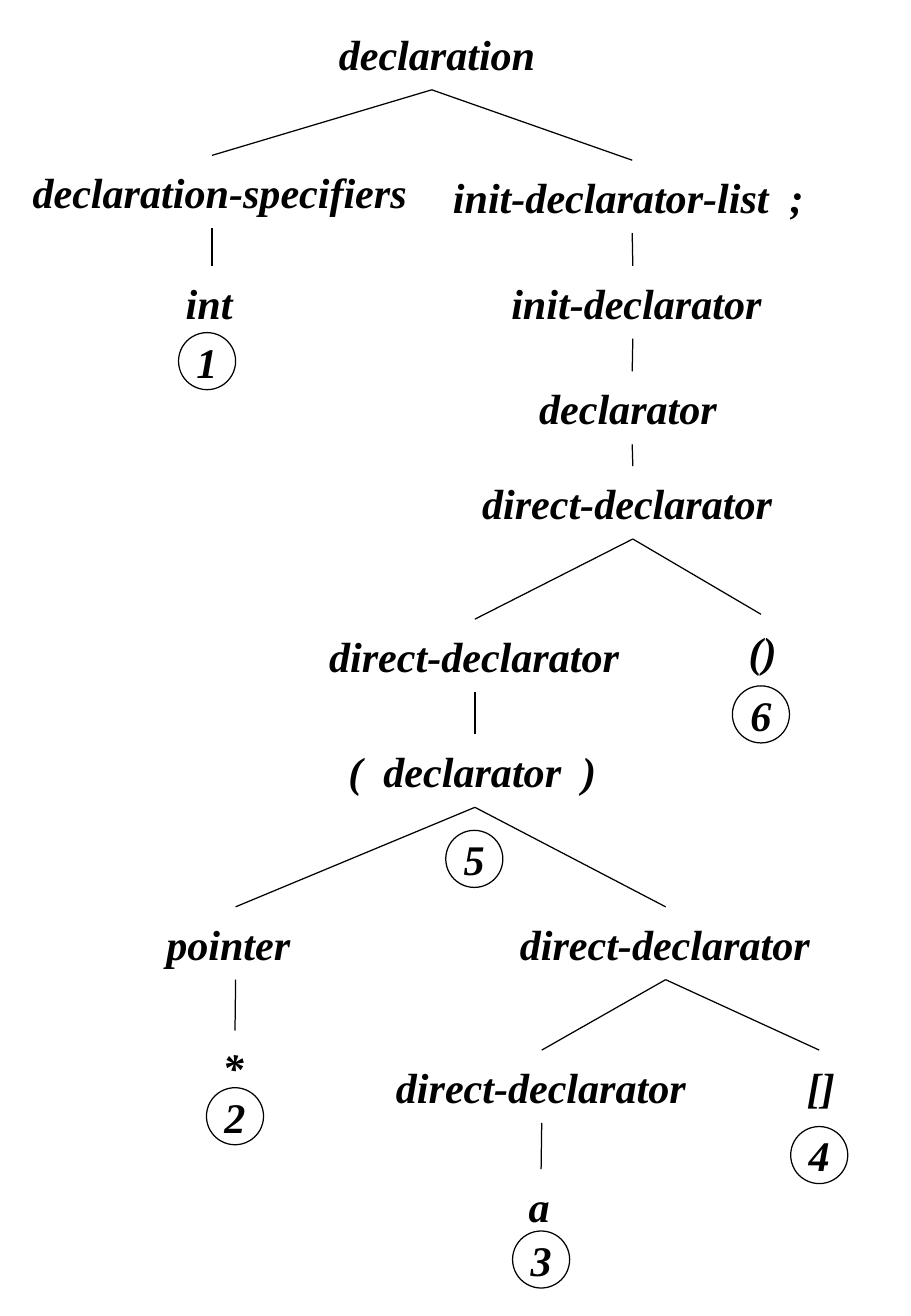
from pptx import Presentation
from pptx.dml.color import RGBColor
from pptx.enum.shapes import MSO_CONNECTOR as Connector, MSO_SHAPE as Shape
from pptx.enum.text import MSO_ANCHOR as Anchor, PP_ALIGN as Align
from pptx.oxml.ns import qn
from pptx.util import Pt
from lxml.etree import SubElement

PX = 9144
SLIDE_WIDTH, SLIDE_HEIGHT = 750, 1084
TREE_BOX = (13, 14)
NODE_HEIGHT, BADGE_SIZE = 60, 47
INK, PAPER = "000000", "FFFFFF"
TOP, BOTTOM = 0, 2

NODES = {
    "root": (None, "declaration", 252, 0, 181),
    "specifiers": ("root", "declaration-specifiers", 0, 114, 323),
    "int": ("specifiers", "int", 126, 205, 71),
    "init list": ("root", "init-declarator-list  ;", 346, 118, 323),
    "init": ("init list", "init-declarator", 394, 205, 228),
    "declarator": ("init", "declarator", 417, 292, 181),
    "function": ("declarator", "direct-declarator", 370, 370, 276),
    "call": ("function", "()", 590, 492, 47),
    "group": ("function", "direct-declarator", 244, 496, 268),
    "grouped": ("group", "(  declarator  )", 260, 591, 236),
    "pointer": ("grouped", "pointer", 110, 733, 142),
    "star": ("pointer", "*", 157, 835, 47),
    "array": ("grouped", "direct-declarator", 401, 733, 268),
    "name": ("array", "direct-declarator", 299, 851, 268),
    "identifier": ("name", "a", 409, 949, 47),
    "brackets": ("array", "[]", 638, 851, 47),
}
BADGES = [
    ("1", 134, 260), ("2", 157, 882), ("3", 409, 1000),
    ("4", 638, 914), ("5", 354, 670), ("6", 590, 551),
]


def color(value):
    return RGBColor.from_string(value)


def add_label(slide, kind, text, box, outline, weight, align):
    label = slide.shapes.add_shape(kind, *(length * PX for length in box))
    label.shadow.inherit = False
    label.fill.background()
    label.line.color.rgb = color(outline)
    label.line.width = Pt(weight)
    frame = label.text_frame
    frame.text = text
    frame.word_wrap = False
    frame.vertical_anchor = Anchor.MIDDLE
    frame.margin_left = frame.margin_right = 11 * PX
    frame.margin_top = frame.margin_bottom = 5 * PX
    paragraph = frame.paragraphs[0]
    paragraph.alignment = align
    font = paragraph.runs[0].font
    font.name = "Times New Roman"
    font.size = Pt(25)
    font.bold = font.italic = True
    font.color.rgb = color(INK)
    return label


def add_branch(slide, parent, child):
    branch = slide.shapes.add_connector(Connector.STRAIGHT, 0, 0, 0, 0)
    branch.begin_connect(parent, BOTTOM)
    branch.end_connect(child, TOP)
    branch.line.color.rgb = color(INK)
    branch.line.width = Pt(0.75)
    SubElement(branch._element.spPr, qn("a:effectLst"))


def draw_tree(slide, box):
    left, top = box
    drawn = {}
    for key, (parent, text, x, y, width) in NODES.items():
        place = (left + x, top + y, width, NODE_HEIGHT)
        drawn[key] = add_label(slide, Shape.ROUNDED_RECTANGLE, text, place, PAPER, 0, Align.LEFT)
        if parent:
            add_branch(slide, drawn[parent], drawn[key])


def draw_badges(slide, box):
    left, top = box
    for number, x, y in BADGES:
        place = (left + x, top + y, BADGE_SIZE, BADGE_SIZE)
        add_label(slide, Shape.OVAL, number, place, INK, 0.75, Align.CENTER)


def main():
    deck = Presentation()
    deck.slide_width = SLIDE_WIDTH * PX
    deck.slide_height = SLIDE_HEIGHT * PX
    slide = deck.slides.add_slide(deck.slide_layouts[6])
    draw_tree(slide, TREE_BOX)
    draw_badges(slide, TREE_BOX)
    deck.save("out.pptx")


if __name__ == "__main__":
    main()
